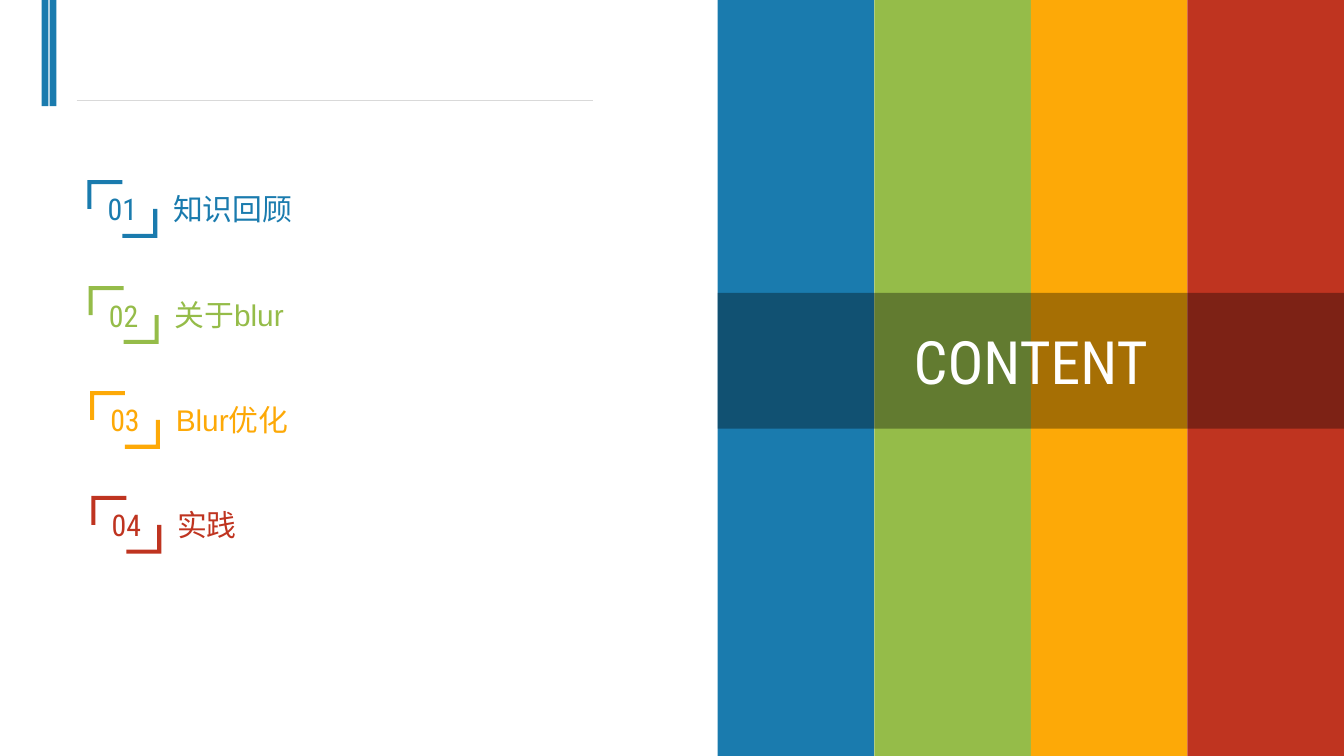
from lxml import etree
from pptx import Presentation
from pptx import util as u
from pptx.dml.color import RGBColor
from pptx.enum import shapes, text
from pptx.oxml import ns

BLUE = RGBColor(0x1A, 0x7B, 0xAE)
GREEN = RGBColor(0x95, 0xBC, 0x49)
ORANGE = RGBColor(0xFD, 0xA9, 0x07)
RED = RGBColor(0xBF, 0x34, 0x20)
GREY = RGBColor(0xD9, 0xD9, 0xD9)
BLACK = RGBColor(0, 0, 0)
WHITE = RGBColor(0xFF, 0xFF, 0xFF)
THEME = [BLUE, GREEN, ORANGE, RED]

HEADING_FONT = "Roboto Condensed"
PAGE_WIDTH = 10
PAGE_HEIGHT = PAGE_WIDTH * 9 / 16
PANEL_LEFT = 5.34

# Agenda entries: top of the bracket, wording, font
AGENDA = [
    (1.34, "知识回顾", HEADING_FONT),
    (2.13, "关于blur", "Arial"),
    (2.91, "Blur优化", "Arial"),
    (3.69, "实践", "Arial"),
]


def place(shape, left, top, width, height):
    shape.left, shape.top = u.Inches(left), u.Inches(top)
    shape.width, shape.height = u.Inches(width), u.Inches(height)


def paint(shape, color):
    shape.shadow.inherit = False
    shape.fill.solid()
    shape.fill.fore_color.rgb = color
    shape.line.fill.background()


def write(shape, wording, size, font, color, align, anchor):
    frame = shape.text_frame
    frame.text = wording
    frame.word_wrap = True
    frame.vertical_anchor = anchor
    para = frame.paragraphs[0]
    para.alignment = align
    for span in para.runs:
        span.font.size = u.Pt(size)
        span.font.name = font
        span.font.color.rgb = color


def add_bar(page, left, width, height, color):
    bar = page.shapes.add_shape(
        shapes.MSO_SHAPE.RECTANGLE, u.Inches(left), 0,
        u.Inches(width), u.Inches(height))
    paint(bar, color)


def add_divider(page, start, end, y):
    divider = page.shapes.add_connector(
        shapes.MSO_CONNECTOR.STRAIGHT,
        u.Inches(start), u.Inches(y), u.Inches(end), u.Inches(y))
    divider.line.color.rgb = GREY
    divider.line.width = u.Pt(0.75)
    etree.SubElement(divider.element.spPr, ns.qn("a:effectLst"))


def add_bracket(page, left, top, number, color):
    """Two opposite corners framing a number."""
    width, height, thick = 0.52, 0.43, 0.03
    middle, half = width / 2, height / 2
    corner = [(0, 0), (middle, 0), (middle, thick),
              (thick, thick), (thick, half), (0, half)]
    opposite = [(width - x, height - y) for x, y in corner]

    def to_page(points):
        return [(u.Inches(left + x), u.Inches(top + y)) for x, y in points]

    first, second = to_page(corner), to_page(opposite)
    builder = page.shapes.build_freeform(*first[0])
    builder.add_line_segments(first[1:], close=True)
    builder.move_to(*second[0])
    builder.add_line_segments(second[1:], close=True)
    bracket = builder.convert_to_shape()
    paint(bracket, color)
    write(bracket, number, 16, HEADING_FONT, color,
          text.PP_ALIGN.CENTER, text.MSO_ANCHOR.MIDDLE)


def add_entry(page, index, top, wording, font, color):
    left = 0.65 + 0.01 * index
    box = page.shapes.add_textbox(
        u.Inches(left + 0.54), u.Inches(top + 0.03),
        u.Inches(3.98), u.Inches(0.37))
    write(box, wording, 16, font, color,
          text.PP_ALIGN.LEFT, text.MSO_ANCHOR.TOP)
    add_bracket(page, left, top, f"{index + 1:02d}", color)


def format_title(page):
    """Translucent title band lying over the colour stripes."""
    title = page.shapes.title
    place(title, PANEL_LEFT, 2.18, PAGE_WIDTH - PANEL_LEFT, 1.01)
    title.fill.solid()
    title.fill.fore_color.rgb = BLACK
    color = title.element.spPr.find(".//" + ns.qn("a:srgbClr"))
    etree.SubElement(color, ns.qn("a:alpha"), val="34000")
    write(title, "CONTENT", 32, HEADING_FONT, WHITE,
          text.PP_ALIGN.CENTER, text.MSO_ANCHOR.MIDDLE)
    title.text_frame.auto_size = text.MSO_AUTO_SIZE.NONE
    # Bring the band to the front
    title.element.getparent().append(title.element)


def main():
    deck = Presentation()
    deck.slide_width = u.Inches(PAGE_WIDTH)
    deck.slide_height = u.Inches(PAGE_HEIGHT)
    page = deck.slides.add_slide(deck.slide_layouts.get_by_name("Title Only"))

    # Header decoration
    for left in (0.31, 0.37):
        add_bar(page, left, 0.05, 0.79, BLUE)
    add_divider(page, 0.57, 4.41, 0.75)

    # Agenda
    for index, ((top, wording, font), color) in enumerate(zip(AGENDA, THEME)):
        add_entry(page, index, top, wording, font, color)

    # Colour stripes and title
    stripe = (PAGE_WIDTH - PANEL_LEFT) / len(THEME)
    for index, color in enumerate(THEME):
        add_bar(page, PANEL_LEFT + index * stripe, stripe, PAGE_HEIGHT, color)
    format_title(page)

    deck.save("out.pptx")


main()
